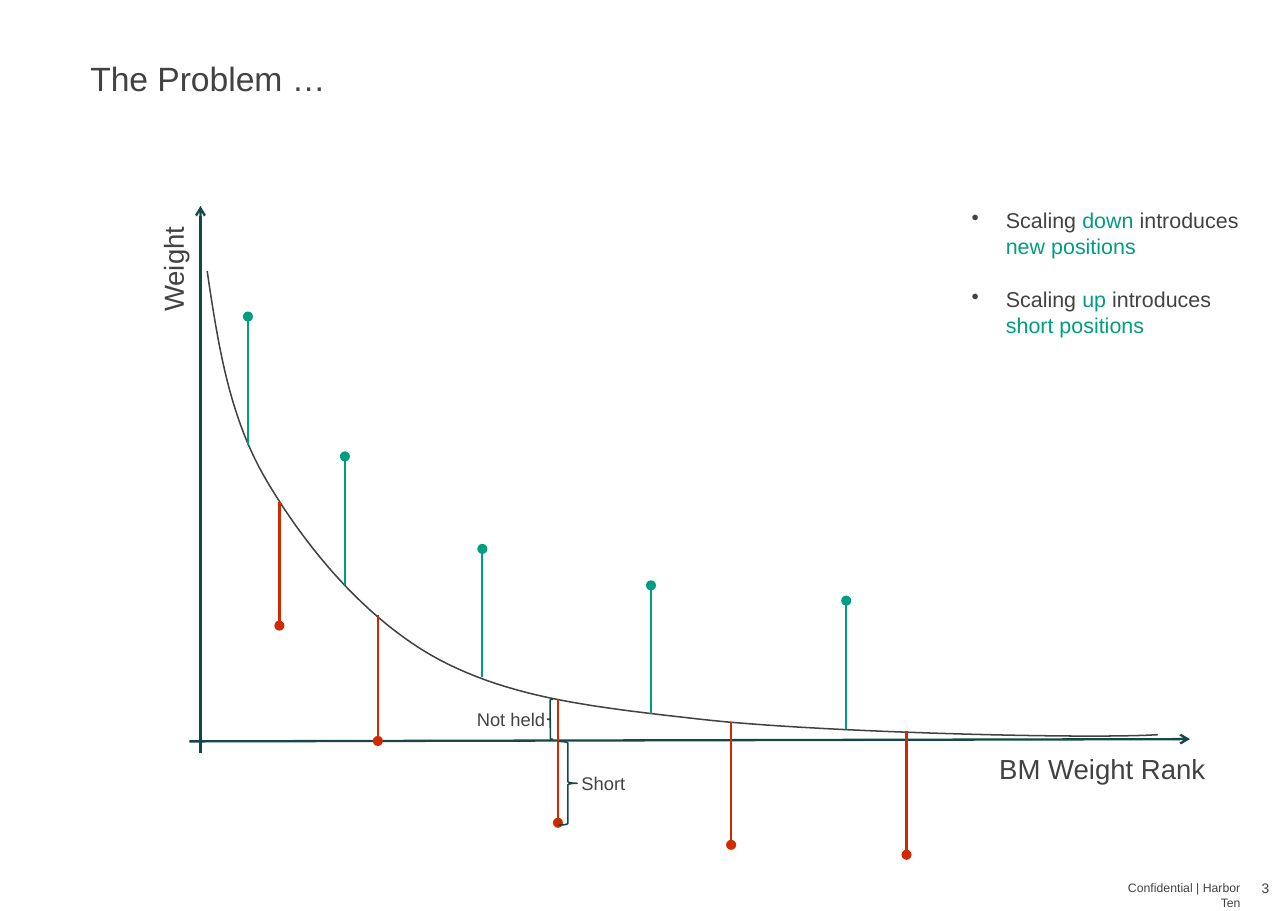
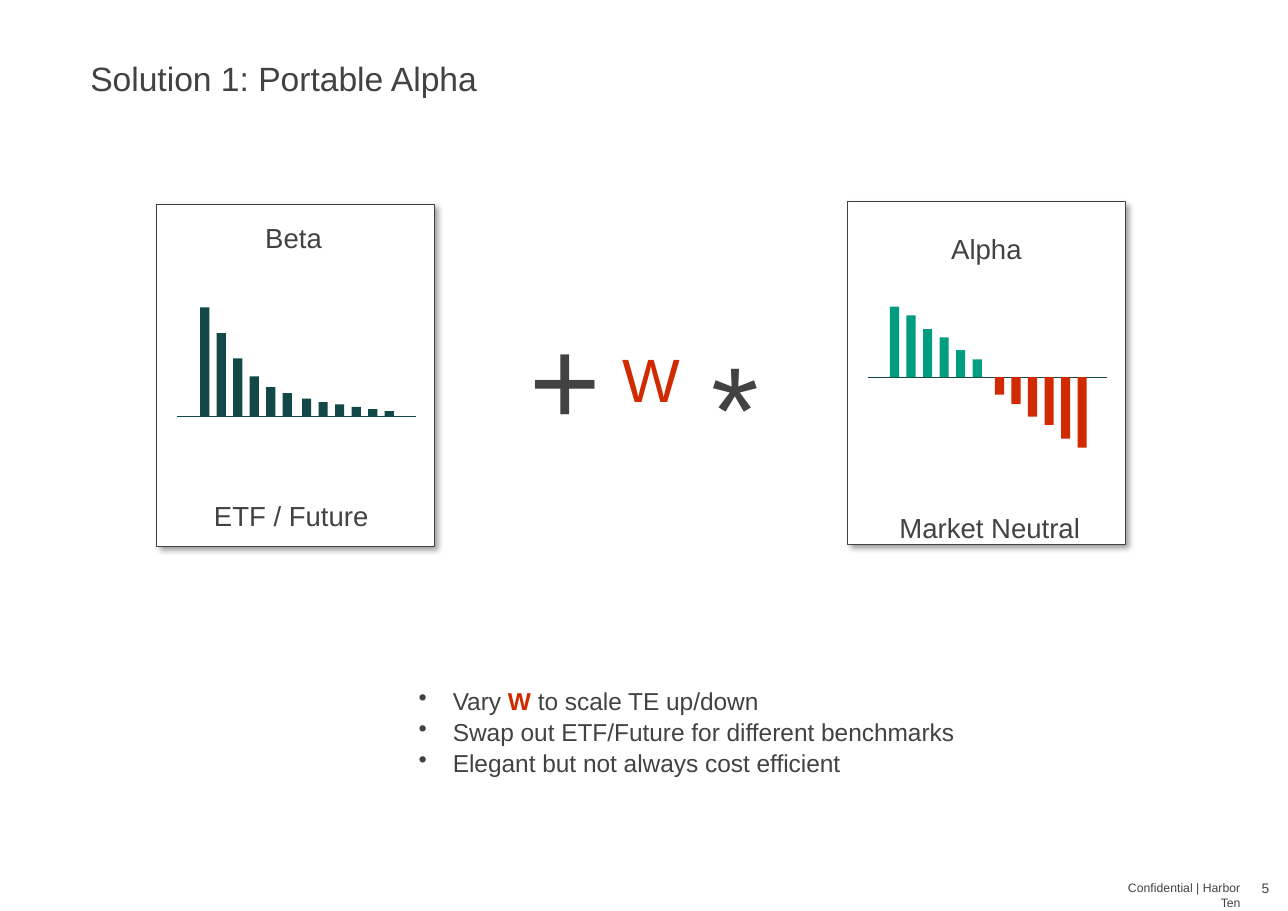
from dataclasses import dataclass

from lxml import etree
from pptx import Presentation
from pptx.dml.color import RGBColor
from pptx.enum import shapes, text
from pptx.oxml import ns
from pptx.util import Pt


@dataclass(frozen=True)
class Theme:
    font: str = "Arial"
    ink: str = "424242"
    dark: str = "134848"
    green: str = "009D80"
    red: str = "D12900"
    white: str = "FFFFFF"
    title: float = 22
    label: float = 18
    points: float = 16
    notes: float = 14
    small: float = 12
    number: float = 9
    footer: float = 8
    weight: float = 40
    operator: float = 80


THEME = Theme()
SHAPE = shapes.MSO_SHAPE
LEFT, CENTER, RIGHT = text.PP_ALIGN.LEFT, text.PP_ALIGN.CENTER, text.PP_ALIGN.RIGHT
GREEN = {"colour": THEME.green}


def points(*lengths):
    return [Pt(length) for length in lengths]


def rgb(colour):
    return RGBColor.from_string(colour)


def add_xml(parent, tag, **attributes):
    return etree.SubElement(parent, ns.qn(tag), attributes)


# Text
def write(page, content, place, size=THEME.label, colour=THEME.ink, align=LEFT,
          anchor=text.MSO_ANCHOR.TOP, before=1, gap=0, bullet=False, turn=0):
    """content is a string or a list of paragraphs; a paragraph is a list of
    strings and (string, format) pairs. gap is extra space between paragraphs."""
    box = page.shapes.add_textbox(*points(*place))
    box.rotation = turn
    frame = box.text_frame
    frame.word_wrap = True
    frame.vertical_anchor = anchor
    frame.margin_left = frame.margin_top = frame.margin_right = frame.margin_bottom = 0
    paragraphs = [[content]] if isinstance(content, str) else content
    for index, spans in enumerate(paragraphs):
        para = frame.add_paragraph() if index else frame.paragraphs[0]
        para.alignment = align
        para.space_before = Pt(before + (gap if index else 0))
        if bullet:
            properties = para._p.get_or_add_pPr()
            indent = Pt(22.3)
            properties.set("marL", str(indent))
            properties.set("indent", str(-indent))
            add_xml(properties, "a:buChar", char="•")
        for part in spans:
            words, style = (part, {}) if isinstance(part, str) else part
            span = para.add_run()
            span.text = words
            span.font.name = THEME.font
            span.font.size = Pt(size)
            span.font.bold = style.get("bold", False)
            span.font.color.rgb = rgb(style.get("colour", colour))


# Lines and shapes
def outline(item, colour, width):
    item.line.color.rgb = rgb(colour)
    item.line.width = Pt(width)


def line(page, start, end, colour=THEME.dark, width=1.5, arrow=False):
    connector = page.shapes.add_connector(
        shapes.MSO_CONNECTOR.STRAIGHT, *points(*start, *end))
    outline(connector, colour, width)
    properties = connector._element.spPr
    if arrow:
        add_xml(properties.find(ns.qn("a:ln")), "a:tailEnd", type="arrow")
    add_xml(properties, "a:effectLst")


def shape(page, kind, place, fill=None, border=None, width=1):
    item = page.shapes.add_shape(kind, *points(*place))
    item.shadow.inherit = False
    if fill:
        item.fill.solid()
        item.fill.fore_color.rgb = rgb(fill)
    else:
        item.fill.background()
    if border:
        outline(item, border, width)
    else:
        item.line.fill.background()
    return item


def curve(page, start, segments, steps=24):
    """Draws joined cubic segments, each given by two controls and an end."""
    vertices = []
    here = start
    for segment in segments:
        corners = (here, *segment)
        for step in range(1, steps + 1):
            t = step / steps
            shares = ((1 - t) ** 3, 3 * t * (1 - t) ** 2, 3 * t * t * (1 - t), t ** 3)
            vertices.append(tuple(
                Pt(sum(share * corner[axis] for share, corner in zip(shares, corners)))
                for axis in (0, 1)))
        here = segment[-1]
    builder = page.shapes.build_freeform(*points(*start))
    builder.add_line_segments(vertices, close=False)
    item = builder.convert_to_shape()
    item.shadow.inherit = False
    item.fill.background()
    outline(item, THEME.ink, 1)


def stem(page, x, curve_y, dot_y, colour, dot=6.6):
    line(page, (x, curve_y), (x, dot_y), colour)
    shape(page, SHAPE.OVAL, (x - dot / 2, dot_y - dot / 2, dot, dot), colour)


def bars(page, left, baseline, heights, colour, step=10.8, width=6):
    """Positive heights stand on the baseline, negative ones hang from it."""
    for index, height in enumerate(heights):
        top = baseline - max(height, 0)
        shape(page, SHAPE.RECTANGLE,
              (left + index * step, top, width, abs(height)), colour)


def card(page, left, top, baseline, captions):
    panel = shape(page, SHAPE.RECTANGLE, (left, top, 181.4, 223.9),
                  THEME.white, THEME.ink, 0.25)
    effects = panel._element.spPr.find(ns.qn("a:effectLst"))
    shadow = add_xml(effects, "a:outerShdw", blurRad=str(Pt(4)), dist=str(Pt(3)),
                     dir="2700000", algn="tl", rotWithShape="0")
    add_xml(add_xml(shadow, "a:srgbClr", val="000000"), "a:alpha", val="40000")
    line(page, (left + 13.3, baseline), (left + 169.5, baseline), width=0.75)
    for words, x, y in captions:
        write(page, words, (x, y, 120, 21.6), align=CENTER)


# Title and footer of every slide
def new_page(deck, title, number):
    page = deck.slides.add_slide(deck.slide_layouts[6])
    write(page, number, (800, 575.3, 29.4, 10.8), THEME.number, align=RIGHT, before=0)
    write(page, "Confidential | Harbor Ten", (722.9, 575.3, 87.8, 9.4),
          THEME.footer, align=RIGHT, before=0)
    write(page, title, (59, 37.4, 771, 26.6), THEME.title,
          anchor=text.MSO_ANCHOR.BOTTOM, before=0)
    return page


def problem_slide(deck):
    page = new_page(deck, "The Problem …", "3")
    # Axes
    line(page, (131, 492.5), (131, 134.6), arrow=True)
    line(page, (123.8, 484.6), (777.6, 483.1), arrow=True)
    write(page, "Weight", (82, 162, 62, 21.6), turn=270)
    write(page, "BM Weight Rank", (653, 491.8, 161.3, 21.6))
    # Benchmark weights
    curve(page, (135.4, 177.1), [
        ((142.6, 225.4), (149.8, 273.6), (175, 315.4)),
        ((200.2, 357.8), (239, 405.4), (287.3, 431.3)),
        ((335.5, 456.5), (386.6, 462.2), (465.1, 470.9)),
        ((542.9, 478.8), (711.4, 483.1), (756.7, 480.2)),
    ])
    # Positions above and below the benchmark
    for x, curve_y in ((162, 290.9), (225.4, 382.3), (315.2, 442.8),
                       (425.4, 466.6), (553, 476.6)):
        stem(page, x, curve_y, curve_y - 84, THEME.green)
    for x, curve_y, drop in ((182.6, 328.3, 80.6), (246.9, 401.8, 82.5),
                             (364.6, 457.2, 80.6), (477.8, 471.6, 80.6),
                             (592.4, 478.1, 80.6)):
        stem(page, x, curve_y, curve_y + drop, THEME.red)
    # Braces
    shape(page, SHAPE.RIGHT_BRACE, (365, 484.6, 12.2, 54.7), border=THEME.dark)
    write(page, "Short", (380, 504.7, 50.4, 14.4), THEME.small)
    shape(page, SHAPE.LEFT_BRACE, (357.8, 457.2, 3.6, 25.9), border=THEME.dark)
    write(page, "Not held", (311.6, 463, 50.4, 14.4), THEME.small)
    # Findings
    write(page, [
        ["Scaling ", ("down", GREEN), " introduces ", ("new positions", GREEN)],
        ["Scaling ", ("up", GREEN), " introduces ", ("short positions", GREEN)],
    ], (635, 135.4, 179.3, 101.5), THEME.notes, gap=17, bullet=True)


def solution_slide(deck):
    page = new_page(deck, "Solution 1: Portable Alpha", "5")
    write(page, [
        ["Vary ", ("W", {"colour": THEME.red, "bold": True}), " to scale TE up/down"],
        ["Swap out ETF/Future for different benchmarks"],
        ["Elegant but not always cost efficient"],
    ], (273.6, 448.6, 383, 97.2), THEME.points, bullet=True)
    # Alpha: longs above the line, mirrored shorts below
    longs = [46.1, 40.3, 31.3, 25.9, 17.6, 11.5]
    card(page, 553.7, 131.8, 246.5,
         [("Alpha", 584.6, 151.9), ("Market Neutral", 586.8, 334)])
    bars(page, 581.6, 246.5, longs, THEME.green)
    bars(page, 650.2, 246.5, [-height for height in reversed(longs)], THEME.red)
    # Beta
    card(page, 102.4, 133.2, 272.2,
         [("Beta", 131.8, 144.7), ("ETF / Future", 130.3, 326.2)])
    bars(page, 130.8, 272.2, [71.3, 54.4, 38, 26.2, 19.2, 15.3], THEME.dark)
    bars(page, 197.4, 272.2, [11.7, 9.4, 7.8, 6.2, 4.8, 3.5], THEME.dark)
    # Formula between the cards
    write(page, "+", (331.9, 198, 75.6, 97.2), THEME.operator, align=CENTER)
    write(page, "W", (392.4, 223.2, 66.2, 48.2), THEME.weight, THEME.red, CENTER)
    write(page, "*", (442.8, 216.7, 75.6, 97.2), THEME.operator, align=CENTER)


def main():
    deck = Presentation()
    deck.slide_width, deck.slide_height = points(841.68, 595.44)
    problem_slide(deck)
    solution_slide(deck)
    deck.save("out.pptx")


if __name__ == "__main__":
    main()
